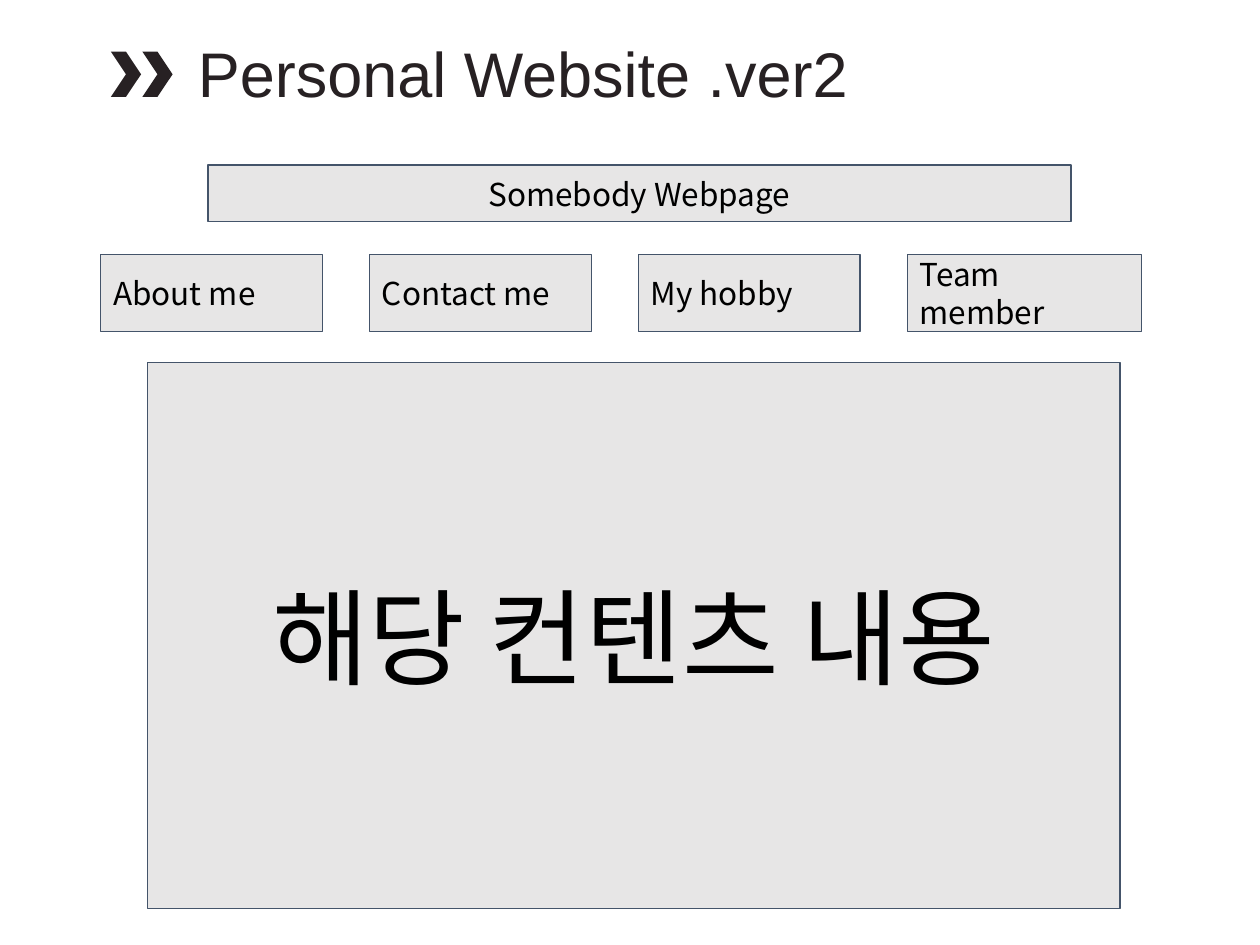
"""Build a wireframe slide for a personal website."""
from lxml.etree import SubElement
from pptx import Presentation
from pptx.dml.color import RGBColor as Rgb
from pptx.enum.shapes import MSO_SHAPE as Shape
from pptx.enum.text import MSO_ANCHOR as Anchor, PP_ALIGN as Align
from pptx.oxml.ns import qn
from pptx.util import Inches, Pt

TITLE = "Personal Website .ver2"
HEADER = "Somebody Webpage"
CONTENT = "해당 컨텐츠 내용"
MENU = [("About me", 1.76), ("Contact me", 1.76), ("My hobby", 1.76), ("Team member", 1.86)]
MENU_LEFT, MENU_LAST, MENU_TOP, MENU_HEIGHT = 0.8, 7.2, 2.02, 0.61
CHEVRON_LEFTS = (0.88, 1.13)

THEME = {
    "panel": Rgb.from_string("E7E6E6"),
    "border": Rgb.from_string("44546A"),
    "ink": Rgb.from_string("272123"),
    "text": Rgb.from_string("000000"),
    "title_font": "Arial",
    "body_font": "Noto Sans CJK KR",
    "title_size": Pt(36),
    "content_size": Pt(60),
    "label_size": Pt(18),
    "border_width": Pt(0.75),
}


def write(shape, text, font, size, color, align, anchor, insets):
    frame = shape.text_frame
    left, top, right, bottom = map(Inches, insets)
    frame_format = {
        "word_wrap": True, "vertical_anchor": anchor,
        "margin_left": left, "margin_top": top,
        "margin_right": right, "margin_bottom": bottom,
    }
    for name, value in frame_format.items():
        setattr(frame, name, value)
    para = frame.paragraphs[0]
    para.alignment = align
    span = para.add_run()
    span.text = text
    for name, value in {"name": font, "size": size, "bold": False}.items():
        setattr(span.font, name, value)
    span.font.color.rgb = color
    SubElement(span.font._element, qn("a:ea")).set("typeface", font)


def add_filled(slide, preset, place, color):
    shape = slide.shapes.add_shape(preset, *map(Inches, place))
    shape.shadow.inherit = False
    shape.fill.solid()
    shape.fill.fore_color.rgb = color
    shape.line.fill.background()
    return shape


def add_panel(slide, text, place, size="label_size", align=Align.CENTER):
    box = add_filled(slide, Shape.RECTANGLE, place, THEME["panel"])
    box.line.color.rgb = THEME["border"]
    box.line.width = THEME["border_width"]
    write(box, text, THEME["body_font"], THEME[size], THEME["text"],
          align, Anchor.MIDDLE, (0.1, 0.1, 0.1, 0.1))


def add_title(slide):
    title = slide.shapes.title
    place = {"left": 1.33, "top": 0.22, "width": 5.72, "height": 0.71}
    for name, value in place.items():
        setattr(title, name, Inches(value))
    write(title, TITLE, THEME["title_font"], THEME["title_size"], THEME["ink"],
          Align.LEFT, Anchor.TOP, (0.24, 0.05, 0.1, 0.05))


def main():
    deck = Presentation()
    deck.slide_width, deck.slide_height = Inches(10), Inches(7.5)
    page = deck.slides.add_slide(deck.slide_layouts.get_by_name("Title Only"))
    add_title(page)
    for left in CHEVRON_LEFTS:
        add_filled(page, Shape.CHEVRON, (left, 0.41, 0.24, 0.36), THEME["ink"])
    add_panel(page, HEADER, (1.65, 1.31, 6.85, 0.45))
    step = (MENU_LAST - MENU_LEFT) / (len(MENU) - 1)
    for index, (label, width) in enumerate(MENU):
        place = (MENU_LEFT + index * step, MENU_TOP, width, MENU_HEIGHT)
        add_panel(page, label, place, align=Align.LEFT)
    add_panel(page, CONTENT, (1.17, 2.88, 7.72, 4.33), "content_size")
    deck.save("out.pptx")


if __name__ == "__main__":
    main()
